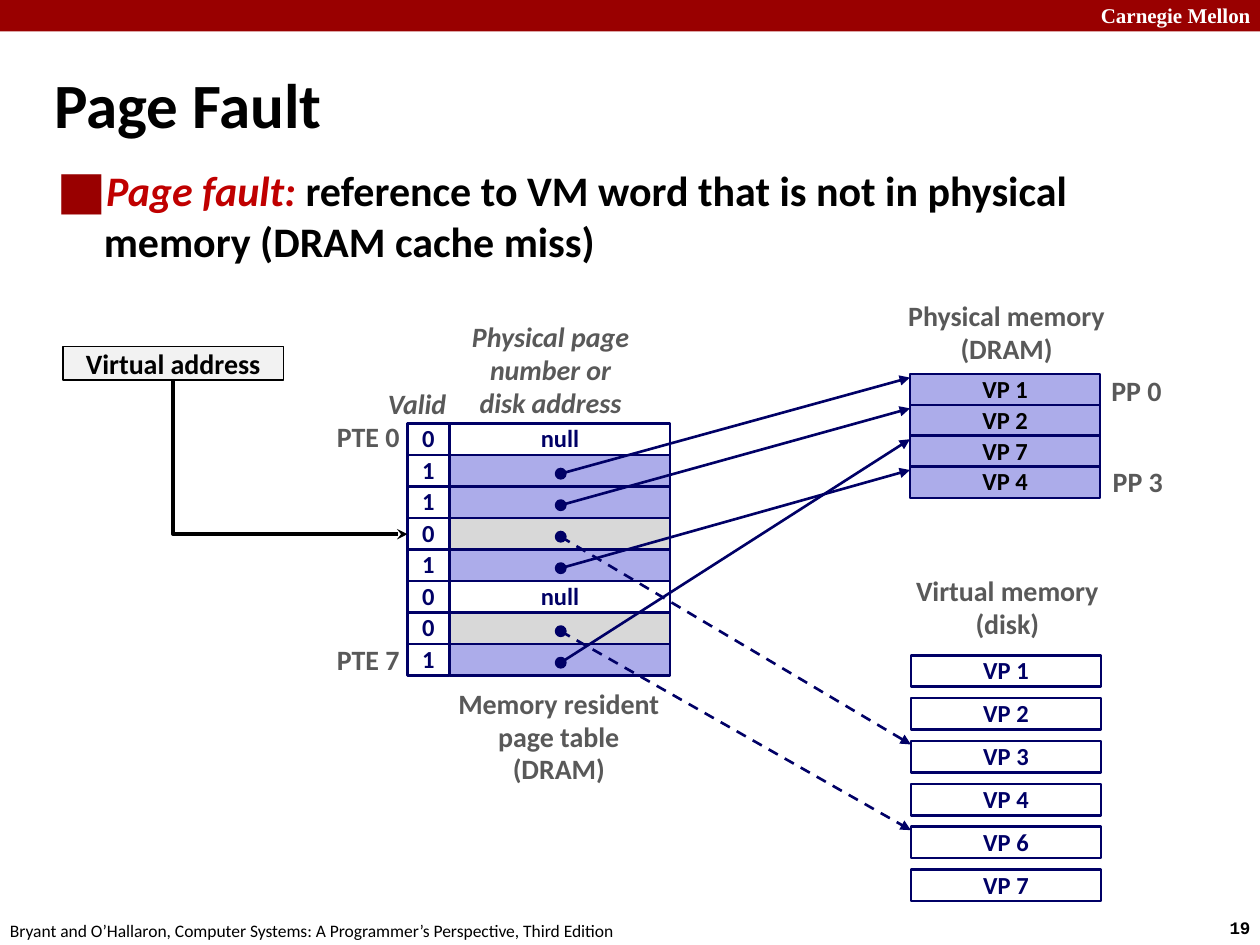
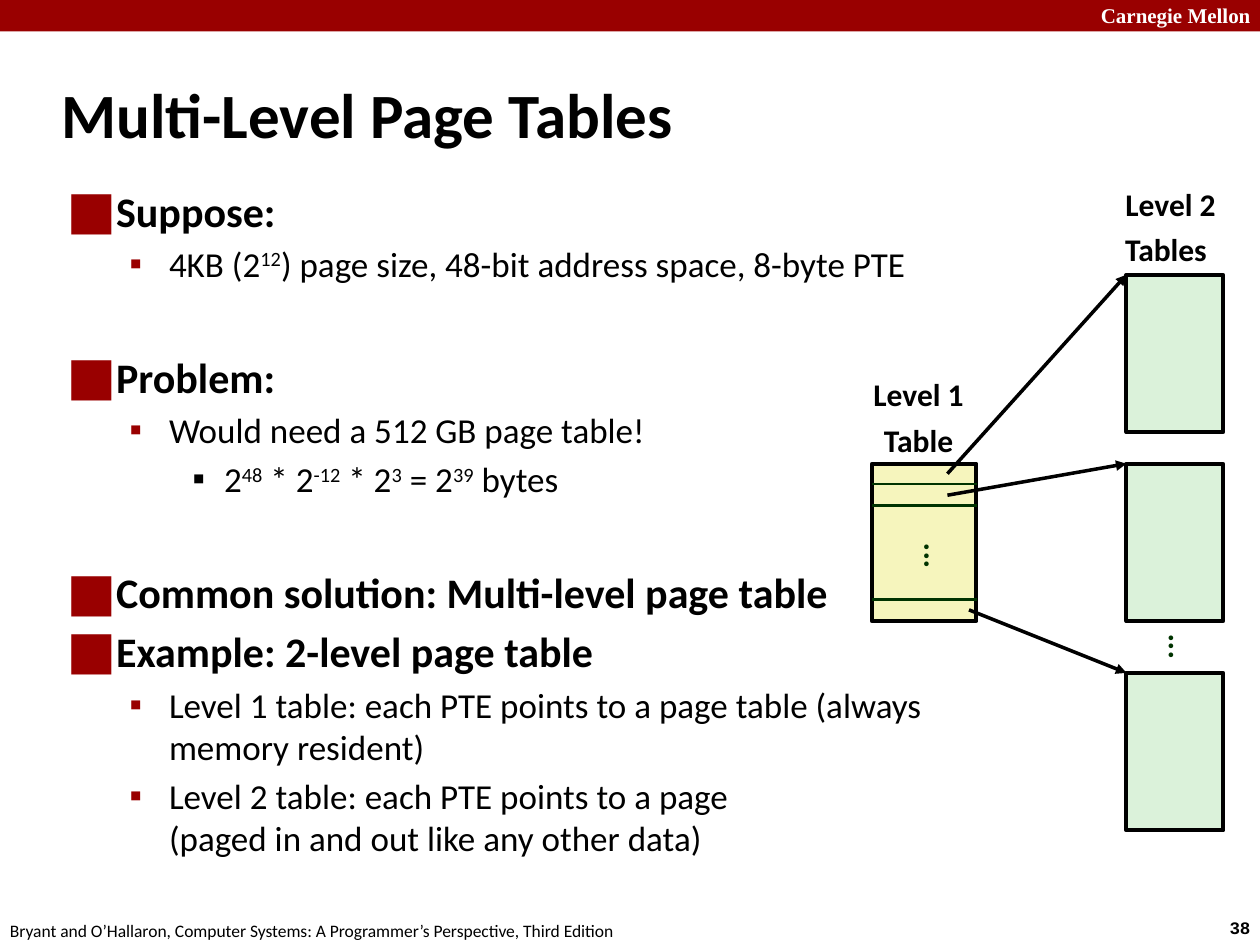
from lxml import etree
from pptx import Presentation
from pptx.dml.color import RGBColor
from pptx.enum.dml import MSO_LINE
from pptx.enum.shapes import MSO_CONNECTOR as Connector, MSO_SHAPE as Shape
from pptx.enum.text import MSO_ANCHOR as Anchor, PP_ALIGN as Align
from pptx.oxml.ns import qn
from pptx.util import Pt

CRIMSON = RGBColor(0x99, 0x00, 0x00)
RED = RGBColor(0xC0, 0x00, 0x00)
BLACK = RGBColor(0x00, 0x00, 0x00)
WHITE = RGBColor(0xFF, 0xFF, 0xFF)
NAVY = RGBColor(0x00, 0x00, 0x66)
LAVENDER = RGBColor(0xAC, 0xAC, 0xEA)
SILVER = RGBColor(0xD8, 0xD8, 0xD8)
PALE_GREY = RGBColor(0xF2, 0xF2, 0xF2)
GREY = RGBColor(0x59, 0x59, 0x59)
YELLOW = RGBColor(0xF6, 0xF5, 0xBD)
MINT = RGBColor(0xDB, 0xF2, 0xDA)
DARK_GREEN = RGBColor(0x00, 0x33, 0x00)

BODY_FONT = "Calibri"
UNIVERSITY = "Carnegie Mellon"
CREDIT = "Bryant and O’Hallaron, Computer Systems: A Programmer’s Perspective, Third Edition"

LEVELS = [
    dict(bullet="■", scale=125, color=CRIMSON, margin=27, hanging=27, size=24, bold=True,
         before=4.8),
    dict(bullet="▪", scale=100, color=CRIMSON, margin=58.5, hanging=22.5, size=20, bold=False,
         before=4),
    dict(bullet="▪", scale=100, color=BLACK, margin=90, hanging=18, size=20, bold=False,
         before=4),
]
SECTION_GAP = 38.3

FAULT_BULLETS = [
    (0, 0, [("Page fault: ", dict(color=RED, italic=True)),
            ("reference to VM word that is not in physical memory (DRAM cache miss)", {})]),
]
RAISED = dict(raised=True)
MULTI_LEVEL_BULLETS = [
    (0, 0, [("Suppose:", {})]),
    (1, None, [("4KB (2", {}), ("12", RAISED),
               (") page size, 48-bit address space, 8-byte PTE", {})]),
    (0, SECTION_GAP, [("Problem:", {})]),
    (1, None, [("Would need a 512 GB page table!", {})]),
    (2, None, [("2", {}), ("48", RAISED), (" * 2", {}), ("-12", RAISED), (" * 2", {}),
               ("3", RAISED), (" = 2", {}), ("39", RAISED), (" bytes", {})]),
    (0, SECTION_GAP, [("Common solution: Multi-level page table", {})]),
    (0, None, [("Example: 2-level page table", {})]),
    (1, None, [("Level 1 table: each PTE points to a page table (always memory resident)", {})]),
    (1, None, [("Level 2 table: each PTE points to a page\n"
                "(paged in and out like any other data)", {})]),
]

PAGE_TABLE = [
    ("0", None), ("1", ("dram", "VP 1")), ("1", ("dram", "VP 2")), ("0", ("disk", "VP 3")),
    ("1", ("dram", "VP 4")), ("0", None), ("0", ("disk", "VP 6")), ("1", ("dram", "VP 7")),
]
MEMORIES = {
    "dram": dict(pages=["VP 1", "VP 2", "VP 7", "VP 4"], left=520, top=213.8, step=17.6,
                 fill=LAVENDER, color=BLACK),
    "disk": dict(pages=["VP 1", "VP 2", "VP 3", "VP 4", "VP 6", "VP 7"], left=520.5, top=374.4,
                 step=24.5, fill=WHITE, color=NAVY),
}
ROW_HEIGHT, TABLE_TOP = 18, 242
VALID_LEFT, VALID_WIDTH = 232.7, 24
ADDRESS_LEFT, ADDRESS_WIDTH = 257, 126
MEMORY_WIDTH = 108.7
DOT_SIZE, DOT_CENTER = 5.8, 320.4

FAULT_LABELS = [
    (["Memory resident", "page table", "(DRAM)"], (252.7, 389.5, 133.2, 64), Align.CENTER, False),
    (["Physical memory", "(DRAM)"], (511.2, 167.8, 128, 45.4), Align.CENTER, False),
    (["Virtual memory", "(disk)"], (514.8, 325.4, 121.7, 45.4), Align.CENTER, False),
    (["Valid"], (214.6, 218.2, 54, 26.6), Align.LEFT, True),
    (["Physical page", "number or", "disk address"], (262.1, 180, 105.1, 64), Align.CENTER, True),
    (["PTE 0"], (185, 236.9, 50.4, 26.6), Align.RIGHT, False),
    (["PTE 7"], (185, 364.3, 50.4, 26.6), Align.RIGHT, False),
    (["PP 0"], (627.8, 211, 43.2, 26.6), Align.CENTER, False),
    (["PP 3"], (628.6, 262.8, 43.2, 26.6), Align.CENTER, False),
]

LEVEL_1_BOX = (498.2, 265, 59.8, 90)
LEVEL_2_LEFT, LEVEL_2_WIDTH = 643.7, 55.4
LEVEL_2_ARROWS = [(157, (541.4, 270.7)), (265, (541.4, 283)), (384.5, (553.7, 348.5))]
DIVIDERS = [276.5, 288.7, 342.7]
LEVEL_LABELS = [
    (["Level 1", "Table"], (491.8, 213.8, 66.2, 52.6), [Align.CENTER, Align.CENTER]),
    (["Level 2", "Tables"], (635.8, 105.1, 66.2, 52.6), [Align.CENTER, Align.LEFT]),
]
ELLIPSES = [(650.2, 356.4, 28.8, 25.9), (510.5, 304.6, 28.8, 25.9)]


def add_run(paragraph, text, size, color=BLACK, bold=True, italic=False, font=BODY_FONT,
            raised=False):
    for index, part in enumerate(text.split("\n")):
        if index:
            paragraph.add_line_break()
        run = paragraph.add_run()
        run.text = part
        run.font.name, run.font.size = font, Pt(size)
        run.font.bold, run.font.italic = bold, italic
        run.font.color.rgb = color
        if raised:
            run.font._element.set("baseline", "30000")


def add_paragraphs(frame, lines, size, align=Align.LEFT, spacing=None, before=0, **style):
    aligns = align if isinstance(align, list) else [align] * len(lines)
    for index, (line, alignment) in enumerate(zip(lines, aligns)):
        paragraph = frame.add_paragraph() if index else frame.paragraphs[0]
        paragraph.alignment = alignment
        if spacing:
            paragraph.line_spacing = spacing
        if index and before:
            paragraph.space_before = Pt(before)
        add_run(paragraph, line, size, **style)


def add_text(slide, box, lines, size, anchor=Anchor.TOP, wrap=False, **style):
    textbox = slide.shapes.add_textbox(*map(Pt, box))
    frame = textbox.text_frame
    frame.word_wrap, frame.vertical_anchor = wrap, anchor
    add_paragraphs(frame, lines, size, **style)
    return textbox


def add_box(slide, box, fill, line=None, width=1.5, text=None, kind=Shape.RECTANGLE, size=14,
            color=NAVY, spacing=0.98):
    shape = slide.shapes.add_shape(kind, *map(Pt, box))
    shape.shadow.inherit = False
    if fill is None:
        shape.fill.background()
    else:
        shape.fill.solid()
        shape.fill.fore_color.rgb = fill
    if line is None:
        shape.line.fill.background()
    else:
        shape.line.color.rgb = line
        shape.line.width = Pt(width)
    if text:
        frame = shape.text_frame
        frame.vertical_anchor = Anchor.MIDDLE
        frame.word_wrap = False
        add_paragraphs(frame, [text], size, align=Align.CENTER, spacing=spacing, color=color)


def add_line(slide, start, end, color, width, head=None, dashed=False, kind=Connector.STRAIGHT):
    connector = slide.shapes.add_connector(kind, *map(Pt, (*start, *end)))
    connector.line.color.rgb = color
    connector.line.width = Pt(width)
    if dashed:
        connector.line.dash_style = MSO_LINE.DASH
    properties = connector._element.spPr
    if head:
        etree.SubElement(properties.find(qn("a:ln")), qn("a:tailEnd"), type=head)
    etree.SubElement(properties, qn("a:effectLst"))
    return connector


def add_bullets(slide, box, items):
    frame = slide.shapes.add_textbox(*map(Pt, box)).text_frame
    frame.word_wrap = True
    for index, (level, before, runs) in enumerate(items):
        style = LEVELS[level]
        paragraph = frame.add_paragraph() if index else frame.paragraphs[0]
        paragraph.level = level
        properties = paragraph._p.get_or_add_pPr()
        properties.set("marL", str(Pt(style["margin"])))
        properties.set("indent", str(-Pt(style["hanging"])))
        bullet_color = etree.SubElement(properties, qn("a:buClr"))
        etree.SubElement(bullet_color, qn("a:srgbClr"), val=str(style["color"]))
        etree.SubElement(properties, qn("a:buSzPct"), val=str(style["scale"] * 1000))
        etree.SubElement(properties, qn("a:buFont"), typeface=BODY_FONT)
        etree.SubElement(properties, qn("a:buChar"), char=style["bullet"])
        if index:
            paragraph.space_before = Pt(style["before"] if before is None else before)
        for text, changes in runs:
            add_run(paragraph, text, style["size"], **{"bold": style["bold"], **changes})


def start_slide(presentation, number, title, title_box):
    slide = presentation.slides.add_slide(presentation.slide_layouts[6])
    add_box(slide, (0, 0, 720, 18), CRIMSON)
    add_text(slide, (622, -2, 103, 21.6), [UNIVERSITY], 12, color=WHITE, font="Times New Roman")
    add_text(slide, (695.5, 520.5, 32.4, 19.4), [number], 10, font="Courier New")
    add_text(slide, (-1.4, 522, 365.8, 19.4), [CREDIT], 10, bold=False)
    add_text(slide, title_box, [title], 36, anchor=Anchor.MIDDLE, wrap=True)
    return slide


def build_page_fault(presentation):
    slide = start_slide(presentation, "19", "Page Fault", (23.8, 28, 652.3, 62))
    add_bullets(slide, (25.2, 90.7, 654.5, 60), FAULT_BULLETS)

    targets = {}
    for name, memory in MEMORIES.items():
        for index, page in enumerate(memory["pages"]):
            top = memory["top"] + index * memory["step"]
            targets[name, page] = (memory["left"], top + 2)
            add_box(slide, (memory["left"], top, MEMORY_WIDTH, ROW_HEIGHT), memory["fill"], NAVY,
                    text=page, color=memory["color"])

    fills = {"dram": LAVENDER, "disk": SILVER}
    for index, (valid, target) in enumerate(PAGE_TABLE):
        top = TABLE_TOP + index * ROW_HEIGHT
        add_box(slide, (VALID_LEFT, top, VALID_WIDTH, ROW_HEIGHT), None, NAVY, text=valid)
        add_box(slide, (ADDRESS_LEFT, top, ADDRESS_WIDTH, ROW_HEIGHT),
                fills[target[0]] if target else WHITE, NAVY, text=None if target else "null")
    for index, (valid, target) in enumerate(PAGE_TABLE):
        if target:
            middle = TABLE_TOP + index * ROW_HEIGHT + 10.7
            add_box(slide, (DOT_CENTER - DOT_SIZE / 2, middle - DOT_SIZE / 2, DOT_SIZE, DOT_SIZE),
                    NAVY, NAVY, 1, kind=Shape.OVAL)
            add_line(slide, (DOT_CENTER, middle), targets[target], NAVY, 1.5, "triangle",
                     dashed=target[0] == "disk")

    for lines, box, align, italic in FAULT_LABELS:
        add_text(slide, box, lines, 16, align=align, spacing=0.98, color=GREY, italic=italic)

    add_box(slide, (36, 198, 126, 19.4), PALE_GREY, BLACK, 1, "Virtual address", size=16,
            color=BLACK, spacing=None)
    elbow = add_line(slide, (209.8, 194.4), (122, 328.3), BLACK, 2, "stealth",
                     kind=Connector.ELBOW)
    elbow._element.spPr.find(qn("a:prstGeom")).set("prst", "bentConnector2")
    elbow._element.spPr.find(qn("a:xfrm")).set("rot", "16200000")


def build_multi_level(presentation):
    slide = start_slide(presentation, "38", "Multi-Level Page Tables", (28, 34.6, 597.6, 60))
    add_bullets(slide, (31, 102.2, 545, 391.7), MULTI_LEVEL_BULLETS)

    for lines, box, aligns in LEVEL_LABELS:
        add_text(slide, box, lines, 18, align=aligns, spacing=0.88, before=6.8)
    add_box(slide, LEVEL_1_BOX, YELLOW, BLACK, 2.25)
    left, _, width, height = LEVEL_1_BOX
    for y in DIVIDERS:
        add_line(slide, (left, y), (left + width, y), DARK_GREEN, 1.5)
    for top, start in LEVEL_2_ARROWS:
        add_box(slide, (LEVEL_2_LEFT, top, LEVEL_2_WIDTH, height), MINT, BLACK, 2.25)
        add_line(slide, start, (LEVEL_2_LEFT, top), BLACK, 2, "triangle")
    for box in ELLIPSES:
        add_text(slide, box, ["..."], 18, spacing=0.88, color=DARK_GREEN).rotation = 270


def main():
    presentation = Presentation()
    presentation.slide_width, presentation.slide_height = Pt(720), Pt(540)
    build_page_fault(presentation)
    build_multi_level(presentation)
    presentation.save("out.pptx")


if __name__ == "__main__":
    main()
